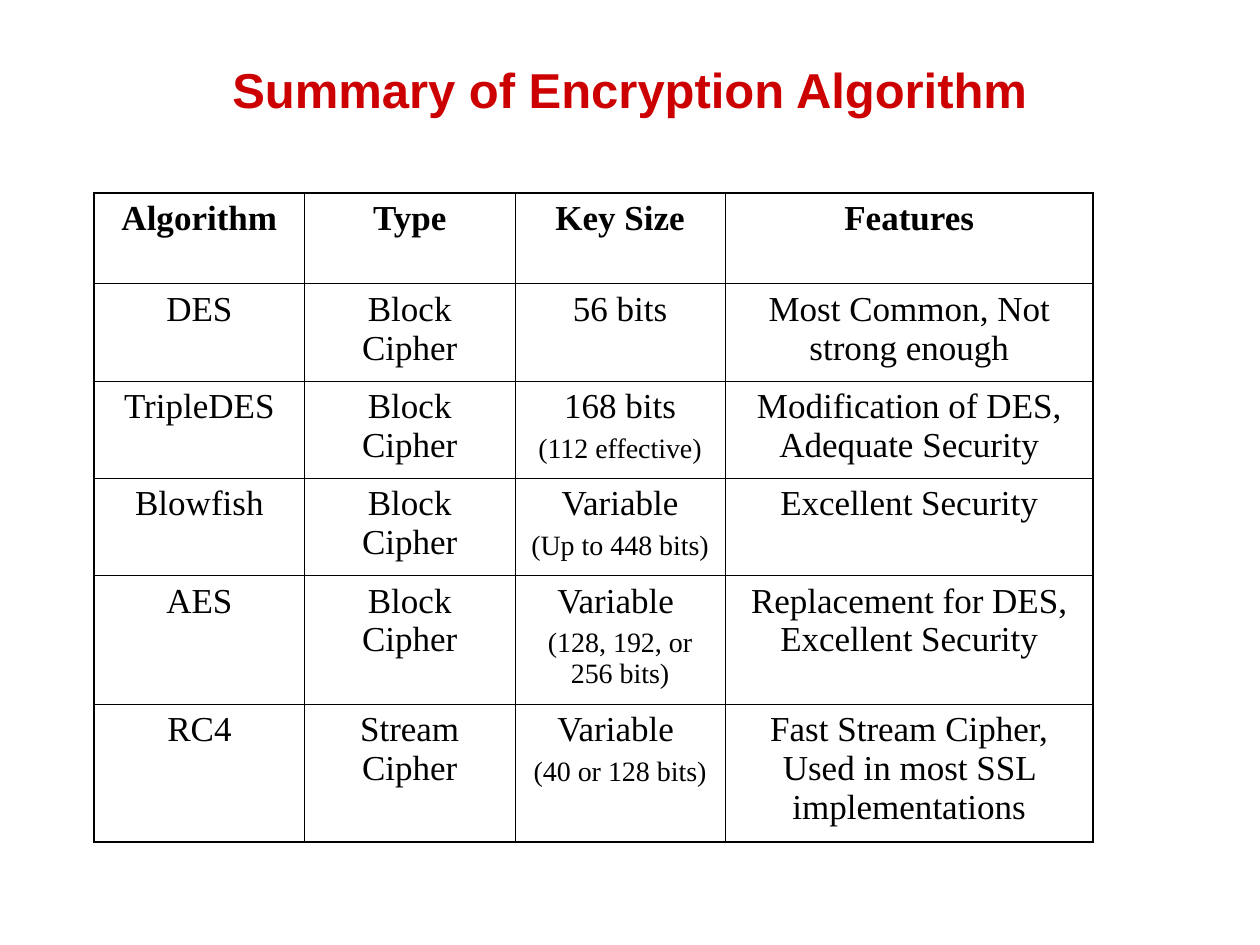
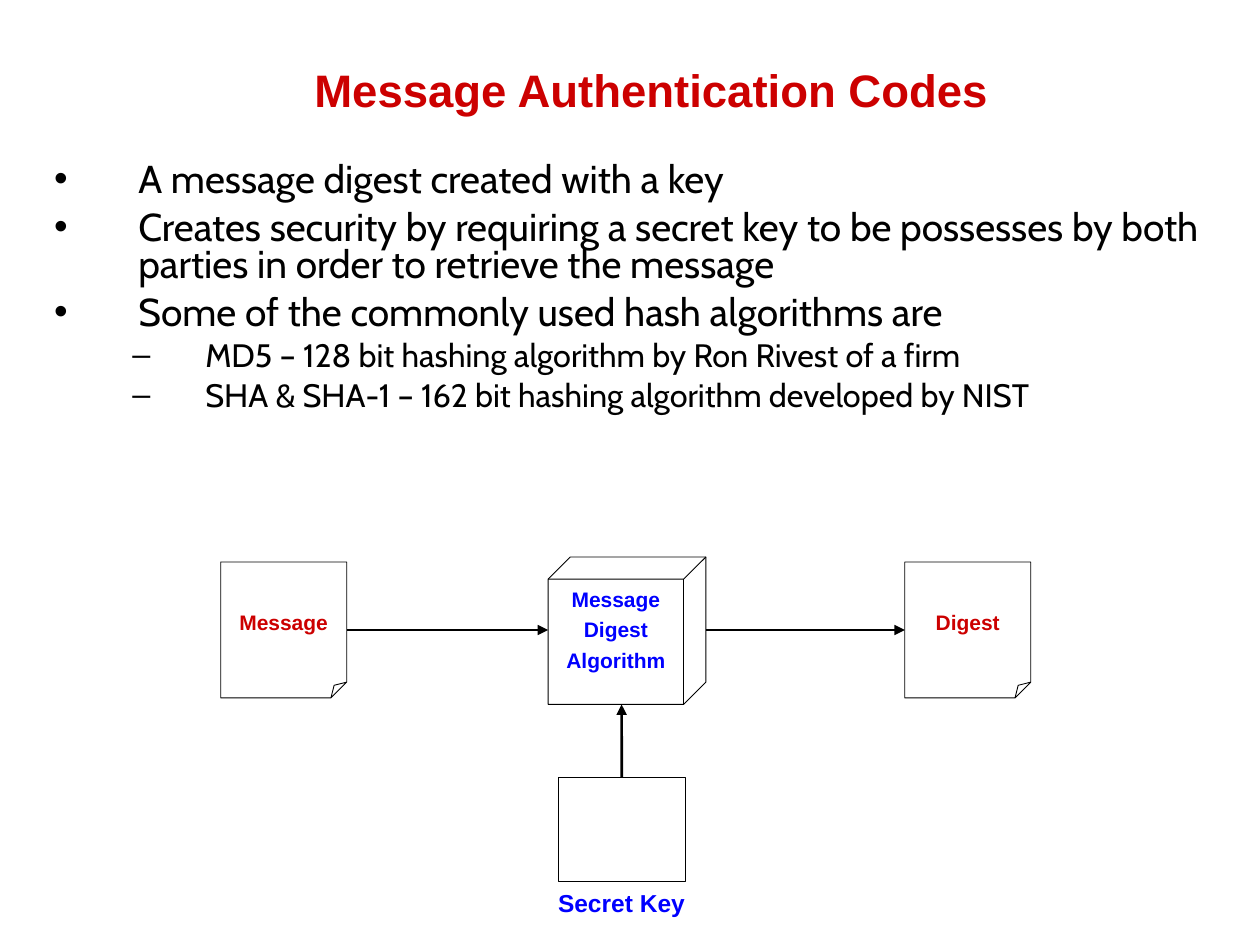
"""Build two slides on encryption algorithms and message authentication codes."""
from lxml.etree import SubElement
from pptx import Presentation
from pptx.dml.color import RGBColor
from pptx.enum.shapes import MSO_CONNECTOR, MSO_SHAPE
from pptx.enum.text import MSO_ANCHOR, MSO_AUTO_SIZE, PP_ALIGN
from pptx.oxml.ns import qn
from pptx.util import Cm, Pt

RED, BLUE, BLACK = "CC0000", "0000FF", "000000"
HEADING_FONT, BODY_FONT, TABLE_FONT = "Arial", "Cabin", "Times New Roman"
TITLE_ONLY = 5
THIN, THICK = 0.45, 1.08

COLUMN_WIDTHS = [4.24, 4.24, 4.24, 7.42]
ROW_HEIGHTS = [1.83, 1.96, 1.96, 1.96, 2.59, 2.79]
ALGORITHMS = [
    ["Algorithm", "Type", "Key Size", "Features"],
    ["DES", "Block Cipher", "56 bits", "Most Common, Not strong enough"],
    ["TripleDES", "Block Cipher", "168 bits\n(112 effective)",
     "Modification of DES, Adequate Security"],
    ["Blowfish", "Block Cipher", "Variable\n(Up to 448 bits)", "Excellent Security"],
    ["AES", "Block Cipher", "Variable \n(128, 192, or 256 bits)",
     "Replacement for DES, Excellent Security"],
    ["RC4", "Stream Cipher", "Variable \n(40 or 128 bits)",
     "Fast Stream Cipher, Used in most SSL implementations"],
]
MAC_POINTS = [
    (0, "A message digest created with a key"),
    (0, "Creates security by requiring a secret key to be possesses by both "
        "parties in order to retrieve the message"),
    (0, "Some of the commonly used hash algorithms are"),
    (1, "MD5 – 128 bit hashing algorithm by Ron Rivest of a firm"),
    (1, "SHA & SHA-1 – 162 bit hashing algorithm developed by NIST"),
]
POINT_STYLES = [("•", 1.7, 1.7, 22.2, 6), ("–", 3.05, 1.47, 18.5, 5)]


def rgb(hex_color):
    """Turn a hex string into a colour."""
    return RGBColor.from_string(hex_color)


def set_font(paragraph, name, size, color, bold=False):
    """Format all text of a paragraph."""
    font = paragraph.font
    font.name, font.size, font.bold = name, Pt(size), bold
    font.color.rgb = rgb(color)


def add_titled_slide(deck, title, left, size):
    """Add a slide with a red centred title."""
    slide = deck.slides.add_slide(deck.slide_layouts[TITLE_ONLY])
    heading = slide.shapes.title
    heading.left, heading.top = Cm(left), Cm(0.2)
    heading.width, heading.height = Cm(21.59), Cm(3.18)
    frame = heading.text_frame
    frame.text = title
    frame.auto_size = MSO_AUTO_SIZE.NONE
    frame.vertical_anchor = MSO_ANCHOR.MIDDLE
    frame.paragraphs[0].alignment = PP_ALIGN.CENTER
    set_font(frame.paragraphs[0], HEADING_FONT, size, RED, True)
    return slide


def set_border(cell, side, width):
    """Draw one black border of a cell."""
    border = SubElement(cell._tc.get_or_add_tcPr(), qn(f"a:ln{side}"), w=str(Pt(width)))
    fill = SubElement(border, qn("a:solidFill"))
    SubElement(fill, qn("a:srgbClr"), val=BLACK)


def fill_cell(cell, text, bold, outer_sides):
    """Write a cell, with a smaller second paragraph, and frame it."""
    for side in "LRTB":
        set_border(cell, side, THICK if side in outer_sides else THIN)
    cell.fill.background()
    cell.text = text
    for index, paragraph in enumerate(cell.text_frame.paragraphs):
        paragraph.alignment = PP_ALIGN.CENTER
        if index:
            paragraph.space_before = Pt(4)
        set_font(paragraph, TABLE_FONT, 16 if index else 20, BLACK, bold)


def add_algorithm_table(slide):
    """Add the comparison of encryption algorithms."""
    last_row, last_column = len(ROW_HEIGHTS) - 1, len(COLUMN_WIDTHS) - 1
    table = slide.shapes.add_table(
        len(ROW_HEIGHTS), len(COLUMN_WIDTHS), Cm(1.9), Cm(3.89),
        Cm(sum(COLUMN_WIDTHS)), Cm(sum(ROW_HEIGHTS))).table
    table.first_row = table.horz_banding = False
    for column, width in zip(table.columns, COLUMN_WIDTHS):
        column.width = Cm(width)
    for row, height in zip(table.rows, ROW_HEIGHTS):
        row.height = Cm(height)
    for r, entries in enumerate(ALGORITHMS):
        for c, text in enumerate(entries):
            edges = {"L": c == 0, "R": c == last_column, "T": r == 0, "B": r == last_row}
            outer_sides = [side for side, is_outer in edges.items() if is_outer]
            fill_cell(table.cell(r, c), text, r == 0, outer_sides)


def add_points(slide):
    """Add the two-level bulleted list."""
    frame = slide.shapes.add_textbox(Cm(0.84), Cm(3.18), Cm(24.56), Cm(6.35)).text_frame
    frame.word_wrap = True
    frame.text = "\n".join(text for _, text in MAC_POINTS)
    for index, (level, _) in enumerate(MAC_POINTS):
        marker, margin, hanging, size, gap = POINT_STYLES[level]
        paragraph = frame.paragraphs[index]
        paragraph.level = level
        properties = paragraph._p.get_or_add_pPr()
        properties.set("marL", str(Cm(margin)))
        properties.set("indent", str(-Cm(hanging)))
        SubElement(properties, qn("a:buFont"), typeface=HEADING_FONT)
        SubElement(properties, qn("a:buChar"), char=marker)
        paragraph.line_spacing = 0.8
        if index:
            paragraph.space_before = Pt(gap)
        set_font(paragraph, BODY_FONT, size, BLACK)


def add_outlined(slide, preset, left, top, width, height):
    """Add an unfilled shape with a thin black outline."""
    outlined = slide.shapes.add_shape(preset, Cm(left), Cm(top), Cm(width), Cm(height))
    outlined.shadow.inherit = False
    outlined.fill.background()
    outlined.line.color.rgb = rgb(BLACK)
    outlined.line.width = Pt(0.5)
    return outlined


def add_label(holder, text, color, size=12, alignment=PP_ALIGN.CENTER):
    """Write bold unwrapped lines into a shape or text box."""
    frame = holder.text_frame
    frame.word_wrap = False
    frame.text = text
    for index, paragraph in enumerate(frame.paragraphs):
        paragraph.alignment = alignment
        if index:
            paragraph.space_before = Pt(3)
        set_font(paragraph, HEADING_FONT, size, color, True)


def add_page(slide, left, text):
    """Add a labelled sheet with a small folded corner."""
    page = add_outlined(slide, MSO_SHAPE.FOLDED_CORNER, left, 11.33, 2.54, 2.74)
    guides = next(page._element.iter(qn("a:avLst")))
    guides.clear()
    SubElement(guides, qn("a:gd"), name="adj", fmla="val 12500")
    page.text_frame.vertical_anchor = MSO_ANCHOR.MIDDLE
    add_label(page, text, RED)
    return page


def add_arrow(slide, start, end):
    """Add a black arrow between two points."""
    arrow = slide.shapes.add_connector(
        MSO_CONNECTOR.STRAIGHT, *(Cm(length) for length in start + end))
    arrow.line.color.rgb = rgb(BLACK)
    arrow.line.width = Pt(1.5)
    SubElement(arrow.line._get_or_add_ln(), qn("a:tailEnd"), type="triangle")
    SubElement(arrow._element.spPr, qn("a:effectLst"))
    return arrow


def add_digest_diagram(slide):
    """Add the flow from message and secret key to digest."""
    message = add_page(slide, 4.45, "Message")
    digest = add_page(slide, 18.24, "Digest")
    algorithm = add_outlined(slide, MSO_SHAPE.CUBE, 11.05, 11.23, 3.18, 2.97)
    algorithm.adjustments[0] = 0.15
    algorithm.text_frame.vertical_anchor = MSO_ANCHOR.TOP
    algorithm.text_frame.margin_top = Cm(0.15)
    add_label(algorithm, "Message\nDigest\nAlgorithm", BLUE)
    secret_key = add_outlined(slide, MSO_SHAPE.RECTANGLE, 11.25, 15.67, 2.57, 2.11)
    key_label = slide.shapes.add_textbox(Cm(11), Cm(17.78), Cm(3.07), Cm(0.86))
    add_label(key_label, "Secret Key", BLUE, 14, PP_ALIGN.LEFT)

    add_arrow(slide, (6.99, 12.7), (11.05, 12.7)).begin_connect(message, 3)
    add_arrow(slide, (14.23, 12.7), (18.24, 12.7)).end_connect(digest, 1)
    add_arrow(slide, (12.53, 15.67), (12.53, 14.2)).begin_connect(secret_key, 0)


def main():
    """Build and save the slides."""
    deck = Presentation()
    deck.slide_width, deck.slide_height = Cm(25.4), Cm(19.05)
    add_algorithm_table(add_titled_slide(deck, "Summary of Encryption Algorithm", 1.9, 28))
    authentication = add_titled_slide(deck, "Message Authentication Codes", 2.34, 26)
    add_points(authentication)
    add_digest_diagram(authentication)
    deck.save("out.pptx")


if __name__ == "__main__":
    main()
